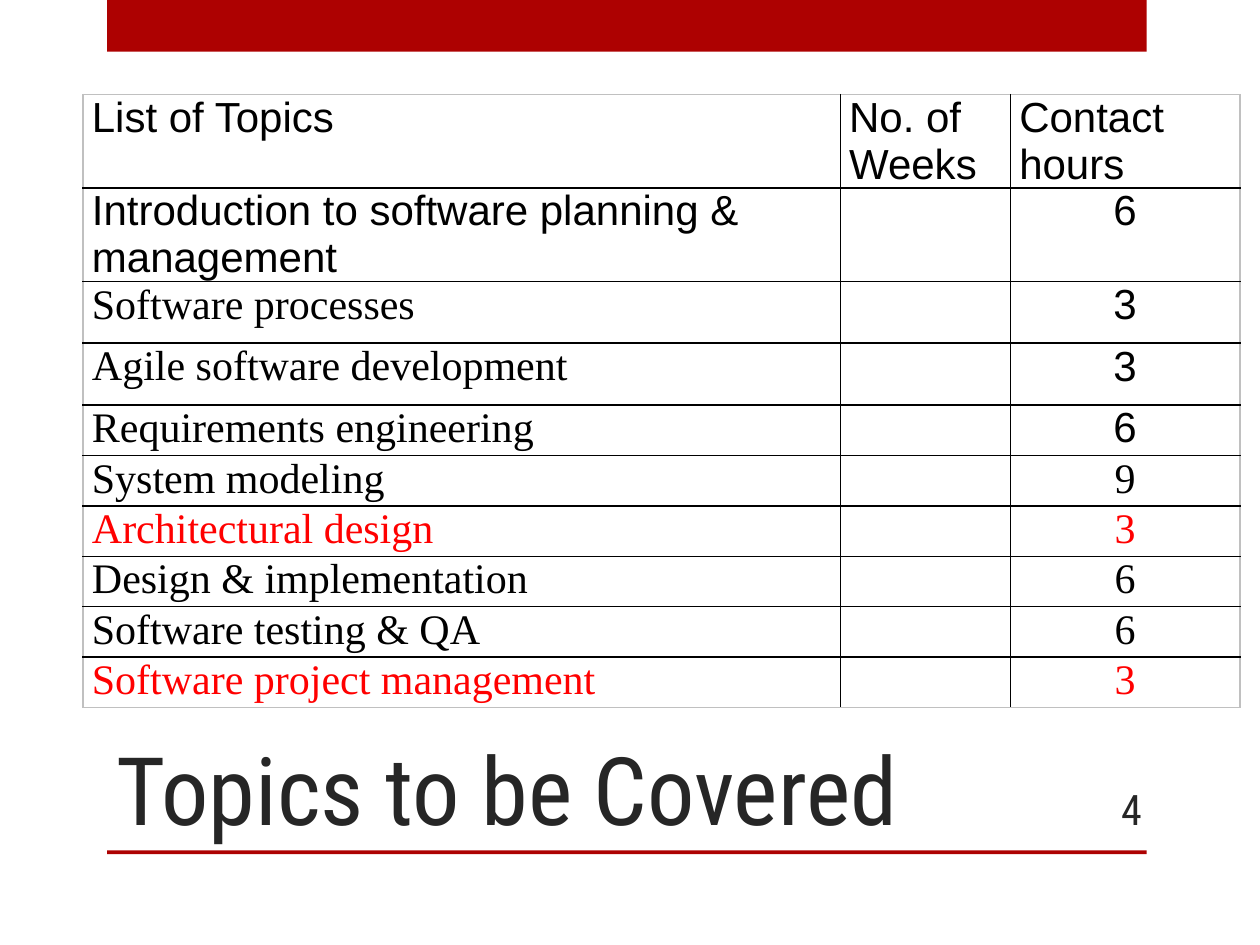
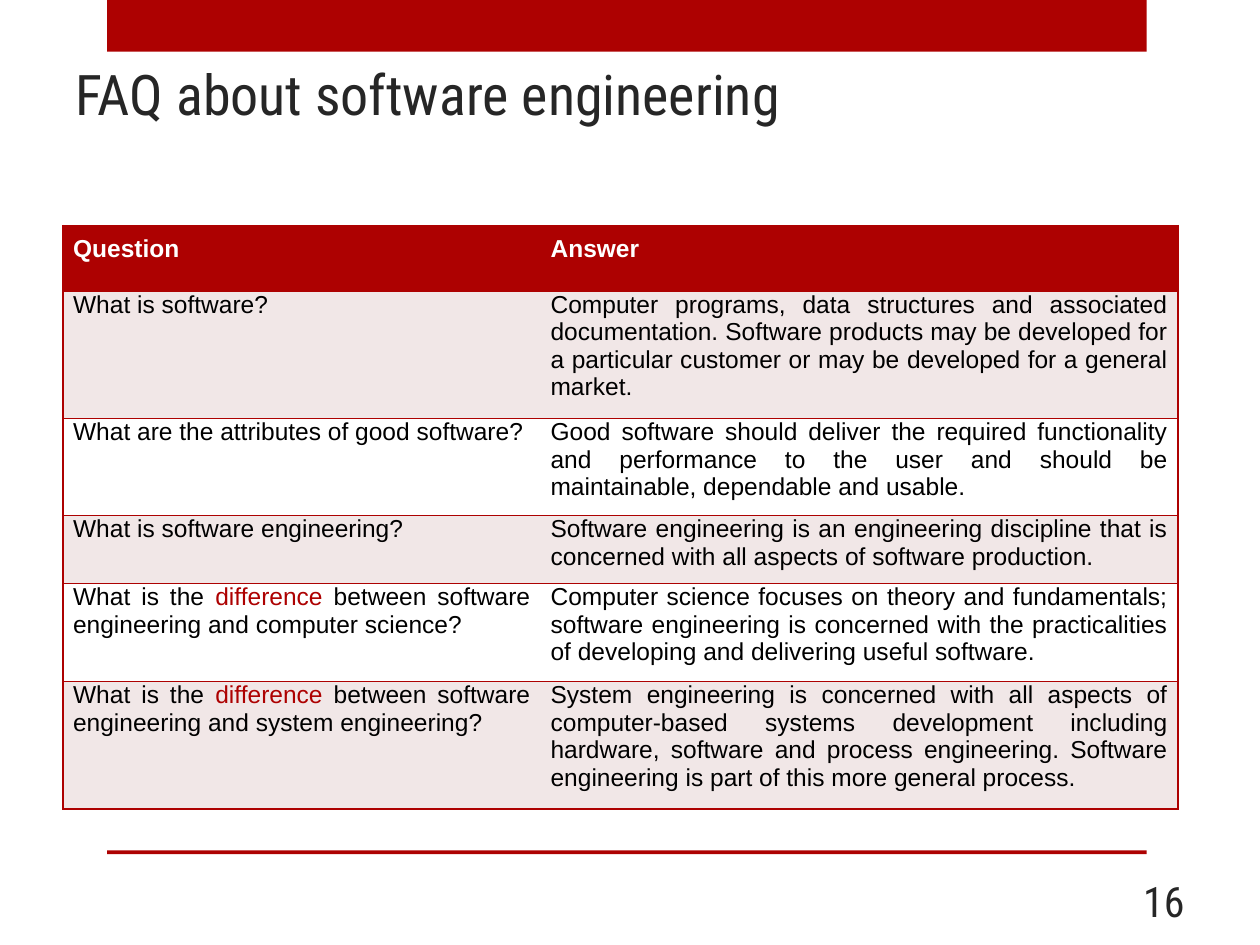
from dataclasses import dataclass

from lxml.etree import SubElement
from pptx import Presentation
from pptx.dml.color import RGBColor
from pptx.enum.shapes import MSO_SHAPE
from pptx.enum.text import MSO_ANCHOR, PP_ALIGN
from pptx.oxml.ns import qn
from pptx.slide import Slide
from pptx.table import Table, _Cell
from pptx.util import Inches, Pt

RED, BRIGHT_RED, INK = "AD0101", "FF0000", "262626"
BLACK, WHITE, PINK, GREY = "000000", "FFFFFF", "F1E7E7", "C0C0C0"
HEADING_FONT, SANS, SERIF = "Roboto Condensed", "Arial", "Times New Roman"


@dataclass
class Label:
    """A line of heading text: the slide title or the page number."""
    text: str
    left: float
    top: float
    width: float
    height: float
    size: int
    anchor: MSO_ANCHOR
    align: PP_ALIGN = PP_ALIGN.LEFT


@dataclass
class CellStyle:
    font: str
    size: int
    color: str = BLACK
    bold: bool = False
    align: PP_ALIGN = PP_ALIGN.LEFT
    spacing: int = 0
    line_height: float | None = None
    side_inset: float = 0.07
    top_inset: float = 0
    bottom_inset: float = 0
    fill: str | None = None


@dataclass
class Topic:
    name: str
    hours: str
    name_font: str = SERIF
    hours_font: str = SERIF
    color: str = BLACK


@dataclass
class Faq:
    question: str
    answer: str
    height: float


TOPICS = [
    Topic("Introduction to software planning & management", "6", SANS, SANS),
    Topic("Software processes", "3", hours_font=SANS),
    Topic("Agile software development", "3", hours_font=SANS),
    Topic("Requirements engineering", "6", hours_font=SANS),
    Topic("System modeling", "9"),
    Topic("Architectural design", "3", color=BRIGHT_RED),
    Topic("Design & implementation", "6"),
    Topic("Software testing & QA", "6"),
    Topic("Software project management", "3", color=BRIGHT_RED),
]

FAQS = [
    Faq("What is software?",
        "Computer programs, data structures and associated documentation. Software products "
        "may be developed for a particular customer or may be developed for a general market.",
        1.01),
    Faq("What are the attributes of good software?",
        "Good software should deliver the required functionality and performance to the user "
        "and should be maintainable, dependable and usable.", 0.77),
    Faq("What is software engineering?",
        "Software engineering is an engineering discipline that is concerned with all aspects "
        "of software production.", 0.54),
    Faq("What is the difference between software engineering and computer science?",
        "Computer science focuses on theory and fundamentals; software engineering is concerned "
        "with the practicalities of developing and delivering useful software.", 0.78),
    Faq("What is the difference between software engineering and system engineering?",
        "System engineering is concerned with all aspects of computer-based systems development "
        "including hardware, software and process engineering. Software engineering is part of "
        "this more general process.", 1.01),
]


def rgb(color: str) -> RGBColor:
    return RGBColor.from_string(color)


def add_bar(slide: Slide, top: float, height: float) -> None:
    bar = slide.shapes.add_shape(MSO_SHAPE.RECTANGLE, Inches(0.85), Inches(top),
                                 Inches(8.25), Inches(height))
    bar.shadow.inherit = False
    bar.fill.solid()
    bar.fill.fore_color.rgb = rgb(RED)
    bar.line.fill.background()


def add_label(slide: Slide, label: Label) -> None:
    frame = slide.shapes.add_textbox(Inches(label.left), Inches(label.top), Inches(label.width),
                                     Inches(label.height)).text_frame
    frame.word_wrap = True
    frame.vertical_anchor = label.anchor
    line = frame.paragraphs[0]
    line.text = label.text
    line.alignment = label.align
    line.font.name, line.font.size = HEADING_FONT, Pt(label.size)
    line.font.color.rgb = rgb(INK)


def add_page(deck: Presentation, title: Label, number: Label) -> Slide:
    """Blank slide with the shared top band, bottom rule, title and page number."""
    slide = deck.slides.add_slide(deck.slide_layouts[6])
    add_bar(slide, 0, 0.41)
    add_bar(slide, 6.75, 0.03)
    add_label(slide, title)
    add_label(slide, number)
    return slide


def add_grid(slide: Slide, left: float, top: float, widths: list[float],
             heights: list[float]) -> Table:
    table = slide.shapes.add_table(len(heights), len(widths), Inches(left), Inches(top),
                                   Inches(sum(widths)), Inches(sum(heights))).table
    table.first_row = table.horz_banding = False
    for column, width in zip(table.columns, widths):
        column.width = Inches(width)
    for row, height in zip(table.rows, heights):
        row.height = Inches(height)
    return table


def set_borders(cell: _Cell, left: str | None, right: str | None,
                top: str | None, bottom: str | None) -> None:
    """One point lines; None leaves the edge undrawn."""
    properties = cell._tc.get_or_add_tcPr()
    edges = {"a:lnL": left, "a:lnR": right, "a:lnT": top, "a:lnB": bottom}
    for position, (tag, color) in enumerate(edges.items()):
        edge = SubElement(properties, qn(tag), w=str(Pt(1)))
        properties.insert(position, edge)
        if color:
            SubElement(SubElement(edge, qn("a:solidFill")), qn("a:srgbClr"), val=color)
        else:
            SubElement(edge, qn("a:noFill"))


def fill_cell(cell: _Cell, text: str, style: CellStyle, accent: str = "") -> None:
    """Write the text, with the accent word in red."""
    cell.margin_left = cell.margin_right = Inches(style.side_inset)
    cell.margin_top, cell.margin_bottom = Inches(style.top_inset), Inches(style.bottom_inset)
    if style.fill:
        cell.fill.solid()
        cell.fill.fore_color.rgb = rgb(style.fill)
    else:
        cell.fill.background()
    line = cell.text_frame.paragraphs[0]
    line.alignment = style.align
    line.space_before = line.space_after = Pt(style.spacing)
    if style.line_height:
        line.line_spacing = Pt(style.line_height)
    line.font.name, line.font.size, line.font.bold = style.font, Pt(style.size), style.bold
    line.font.color.rgb = rgb(style.color)
    for part in text.partition(accent) if accent else (text,):
        if part:
            run = line.add_run()
            run.text = part
            if part == accent:
                run.font.color.rgb = rgb(RED)


def topic_style(font: str, color: str = BLACK, align: PP_ALIGN = PP_ALIGN.LEFT) -> CellStyle:
    return CellStyle(font, 24, color, align=align, spacing=6, line_height=26.7)


def add_topics_table(slide: Slide) -> None:
    heights = [0.74] * 2 + [0.49] * 2 + [0.37] * 6
    table = add_grid(slide, 0.66, 0.75, [6.01, 1.35, 1.82], heights)
    heading = topic_style(SANS)
    for column, text in enumerate(["List of Topics", "No. of Weeks", "Contact hours"]):
        fill_cell(table.cell(0, column), text, heading)
    for row, topic in enumerate(TOPICS, start=1):
        fill_cell(table.cell(row, 0), topic.name, topic_style(topic.name_font, topic.color))
        fill_cell(table.cell(row, 1), "", heading)
        fill_cell(table.cell(row, 2), topic.hours,
                  topic_style(topic.hours_font, topic.color, PP_ALIGN.CENTER))
    # Black inner lines inside a grey frame
    last_row, last_column = len(heights) - 1, 2
    for row in range(last_row + 1):
        for column in range(last_column + 1):
            set_borders(table.cell(row, column),
                        BLACK if column else GREY,
                        BLACK if column < last_column else GREY,
                        BLACK if row else GREY,
                        BLACK if row < last_row else GREY)


def add_faq_table(slide: Slide) -> None:
    table = add_grid(slide, 0.5, 1.79, [3.79, 5.06], [0.52] + [faq.height for faq in FAQS])
    rows = [("Question", "Answer")] + [(faq.question, faq.answer) for faq in FAQS]
    for row, texts in enumerate(rows):
        style = CellStyle(SANS, 14, align=PP_ALIGN.JUSTIFY, side_inset=0.08, bottom_inset=0.07,
                          fill=PINK if row % 2 else WHITE)
        if row == 0:
            style.color, style.bold, style.fill, style.top_inset = WHITE, True, RED, 0.08
        for column, text in enumerate(texts):
            cell = table.cell(row, column)
            fill_cell(cell, text, style, accent="" if column else "difference")
            set_borders(cell, None if column else RED, RED if column else None, RED, RED)


def main() -> None:
    deck = Presentation()
    deck.slide_width, deck.slide_height = Inches(10), Inches(7.5)

    # Course topics
    topics = add_page(
        deck,
        Label("Topics to be Covered", 0.83, 5, 7.42, 1.75, 54, MSO_ANCHOR.BOTTOM),
        Label("4", 8.33, 6.22, 0.83, 0.4, 24, MSO_ANCHOR.MIDDLE, PP_ALIGN.RIGHT))
    add_topics_table(topics)

    # Frequently asked questions
    faq = add_page(
        deck,
        Label("FAQ about software engineering", 0.5, 0.42, 9.08, 1.17, 32, MSO_ANCHOR.TOP),
        Label("16", 7.17, 6.95, 2.33, 0.4, 24, MSO_ANCHOR.MIDDLE, PP_ALIGN.RIGHT))
    add_faq_table(faq)

    deck.save("out.pptx")


if __name__ == "__main__":
    main()
